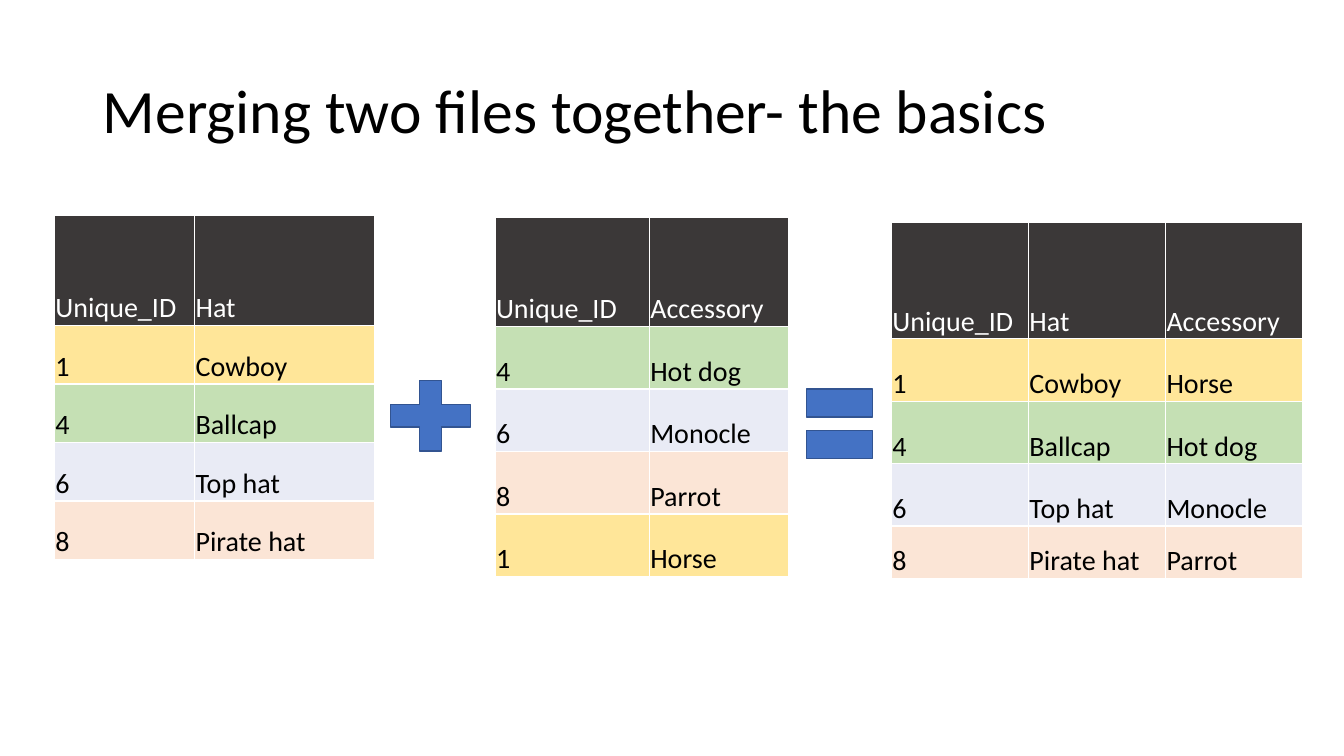
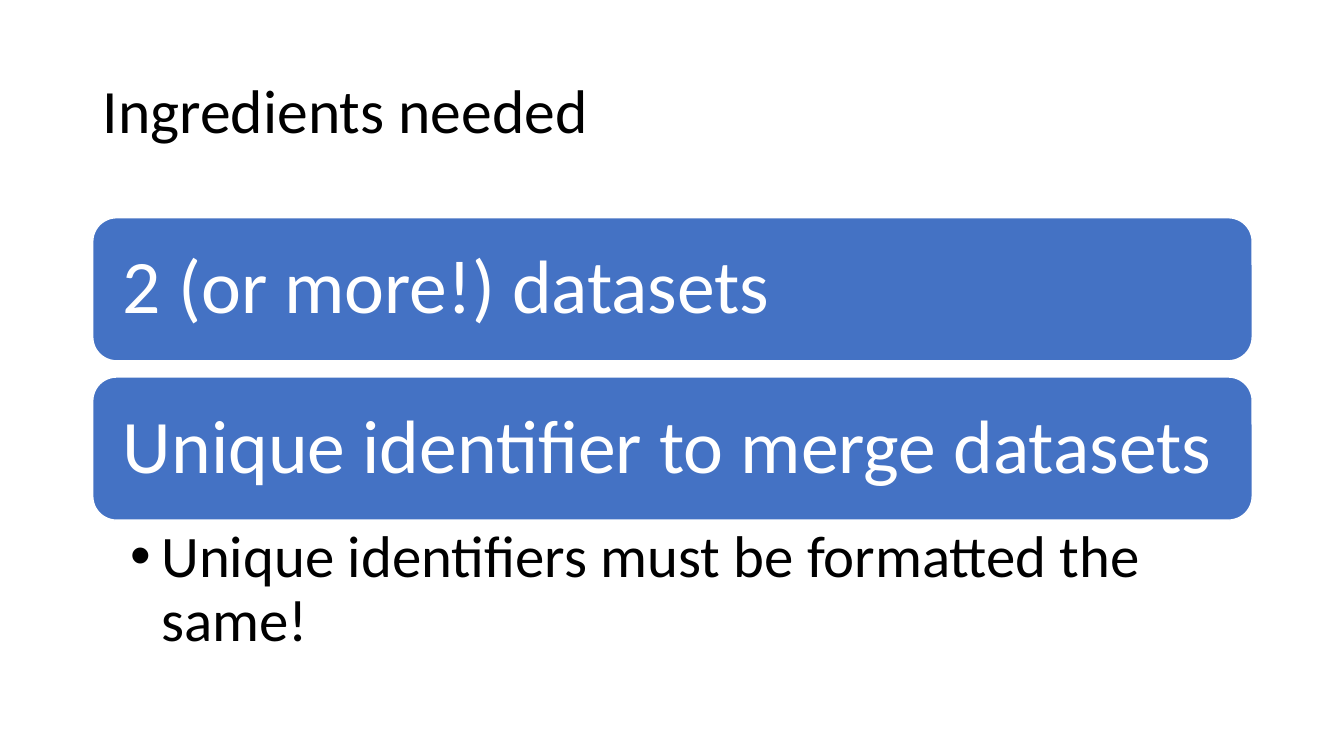
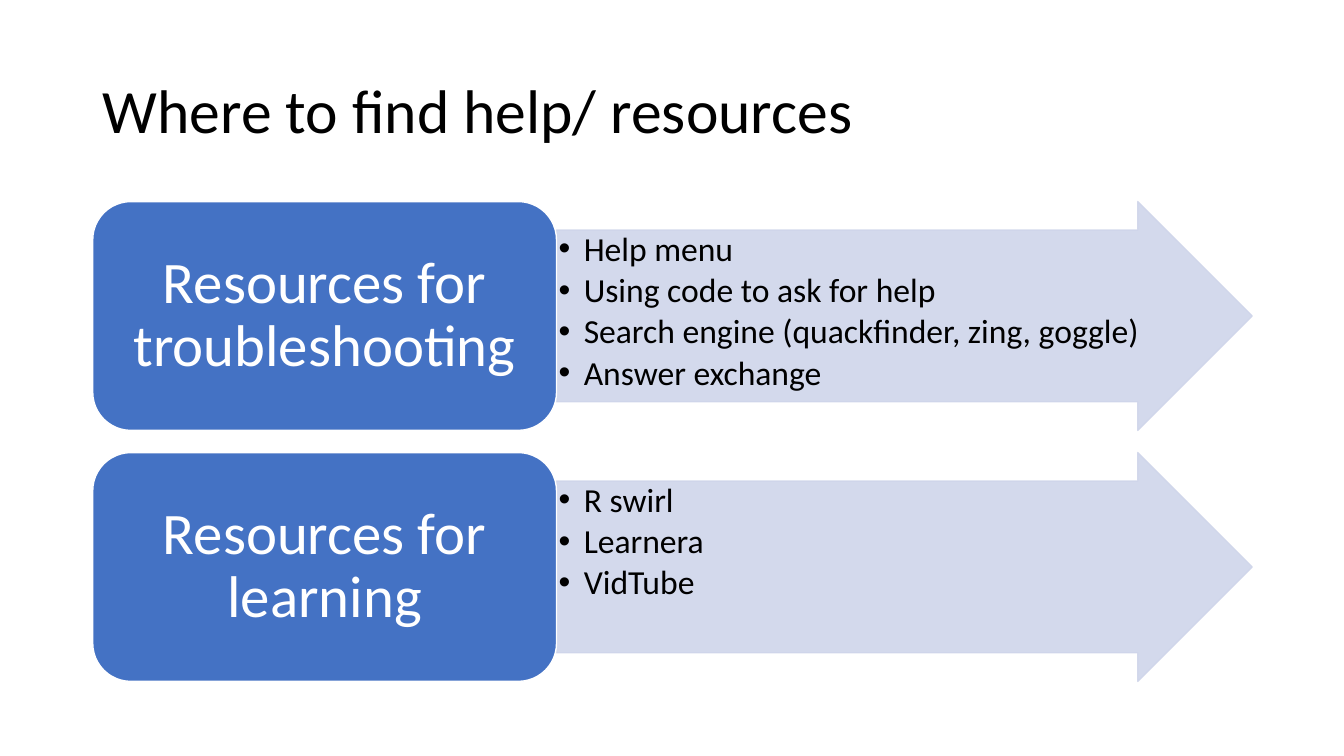
from dataclasses import dataclass

from lxml.etree import SubElement
from pptx import Presentation
from pptx.dml.color import RGBColor
from pptx.enum.shapes import MSO_SHAPE
from pptx.enum.text import MSO_ANCHOR, MSO_AUTO_SIZE, PP_ALIGN
from pptx.oxml.ns import qn
from pptx.util import Inches, Pt


@dataclass(frozen=True)
class Theme:
    font: str = "Calibri"
    black: str = "000000"
    white: str = "FFFFFF"
    blue: str = "4472C4"
    blue_edge: str = "325491"
    pale_blue: str = "CFD5EA"
    header: str = "3B3838"
    title_size: int = 44
    banner_size: int = 54
    label_size: int = 42
    list_size: int = 24
    table_size: int = 20


theme = Theme()
ID_COLOURS = {"1": "FFE699", "4": "C5E0B4", "6": "E9EBF5", "8": "FBE5D6"}
LEFT, WIDTH = 0.92, 11.5


def write_text(frame, lines, size, colour, insets, anchor=MSO_ANCHOR.MIDDLE,
               align=PP_ALIGN.LEFT, bullet_indent=0, space_after=0):
    """Fill a text frame with one paragraph per line; insets run left, top, right, bottom."""
    frame.text = "\n".join(lines)
    frame.word_wrap = True
    frame.auto_size = MSO_AUTO_SIZE.NONE
    frame.vertical_anchor = anchor
    (frame.margin_left, frame.margin_top,
     frame.margin_right, frame.margin_bottom) = map(Inches, insets)
    for paragraph in frame.paragraphs:
        if bullet_indent:
            properties = paragraph._p.get_or_add_pPr()
            properties.set("marL", str(Inches(bullet_indent)))
            properties.set("indent", str(-Inches(bullet_indent)))
            SubElement(properties, qn("a:buFont"), typeface="Arial")
            SubElement(properties, qn("a:buChar"), char="•")
        paragraph.alignment = align
        paragraph.line_spacing = 0.9
        paragraph.space_before = Pt(0)
        paragraph.space_after = Pt(space_after)
        for run in paragraph.runs:
            run.font.name = theme.font
            run.font.size = Pt(size)
            run.font.color.rgb = RGBColor.from_string(colour)


def add_box(slide, kind, box, fill, line):
    shape = slide.shapes.add_shape(kind, *map(Inches, box))
    shape.shadow.inherit = False
    shape.fill.solid()
    shape.fill.fore_color.rgb = RGBColor.from_string(fill)
    shape.line.color.rgb = RGBColor.from_string(line)
    shape.line.width = Pt(1)
    return shape


presentation = Presentation()
presentation.slide_width = Inches(13.33)
presentation.slide_height = Inches(7.5)
TITLE_AND_CONTENT, TITLE_ONLY = 1, 5

# Slides and their titles
slides = []
for layout_index, title_text in [
    (TITLE_ONLY, "Merging two files together- the basics"),
    (TITLE_AND_CONTENT, "Ingredients needed"),
    (TITLE_ONLY, "Where to find help/ resources"),
]:
    slide = presentation.slides.add_slide(presentation.slide_layouts[layout_index])
    title = slide.shapes.title
    title.left, title.top, title.width, title.height = map(Inches, (LEFT, 0.4, WIDTH, 1.45))
    write_text(title.text_frame, [title_text], theme.title_size, theme.black,
               (0.1, 0.05, 0.1, 0.05))
    slides.append(slide)
merge_slide, ingredients_slide, resources_slide = slides

# Slide 1: two tables and the merged result
hats = {"1": "Cowboy", "4": "Ballcap", "6": "Top hat", "8": "Pirate hat"}
accessories = {"4": "Hot dog", "6": "Monocle", "8": "Parrot", "1": "Horse"}
tables = [
    (0.54, 2.14, [1.39, 1.79], [1.09] + [0.58] * 4,
     [("Unique_ID", "Hat"), *hats.items()]),
    (4.91, 2.16, [1.53, 1.38], [1.08] + [0.62] * 4,
     [("Unique_ID", "Accessory"), *accessories.items()]),
    (8.84, 2.21, [1.36] * 3, [1.15] + [0.62] * 3 + [0.52],
     [("Unique_ID", "Hat", "Accessory"),
      *((key, hat, accessories[key]) for key, hat in hats.items())]),
]
for left, top, column_widths, row_heights, rows in tables:
    table = merge_slide.shapes.add_table(
        len(rows), len(column_widths), Inches(left), Inches(top),
        Inches(sum(column_widths)), Inches(sum(row_heights))).table
    table.horz_banding = False
    for column, width in zip(table.columns, column_widths):
        column.width = Inches(width)
    for row, height, values in zip(table.rows, row_heights, rows):
        row.height = Inches(height)
        is_header = values[0] not in ID_COLOURS
        for cell, value in zip(row.cells, values):
            cell.vertical_anchor = MSO_ANCHOR.BOTTOM
            cell.margin_left = cell.margin_top = cell.margin_right = Inches(0.01)
            cell.margin_bottom = 0
            cell_properties = cell._tc.get_or_add_tcPr()
            for side in ("a:lnL", "a:lnR", "a:lnT", "a:lnB"):
                border = SubElement(cell_properties, qn(side), w=str(Pt(1)))
                border_fill = SubElement(border, qn("a:solidFill"))
                SubElement(border_fill, qn("a:srgbClr"), val=theme.white)
            cell.fill.solid()
            cell.fill.fore_color.rgb = RGBColor.from_string(
                theme.header if is_header else ID_COLOURS[values[0]])
            cell.text_frame.text = value
            font = cell.text_frame.paragraphs[0].runs[0].font
            font.name = theme.font
            font.size = Pt(theme.table_size)
            font.bold = False
            font.color.rgb = RGBColor.from_string(theme.white if is_header else theme.black)

for kind, box in [(MSO_SHAPE.MATH_PLUS, (3.73, 3.65, 1.08, 0.95)),
                  (MSO_SHAPE.MATH_EQUAL, (7.88, 3.62, 0.89, 1.17))]:
    add_box(merge_slide, kind, box, theme.blue, theme.blue_edge)

# Slide 2: banners with a note below
for index, text in enumerate(["2 (or more!) datasets", "Unique identifier to merge datasets"]):
    banner = add_box(ingredients_slide, MSO_SHAPE.ROUNDED_RECTANGLE,
                     (LEFT, 2.16 + index * 1.58, WIDTH, 1.42), theme.blue, theme.white)
    write_text(banner.text_frame, [text], theme.banner_size, theme.white,
               (0.23, 0.23, 0.2, 0.23))

note = ingredients_slide.placeholders[1]
note.left, note.top, note.width, note.height = map(Inches, (LEFT, 5.16, WIDTH, 1.44))
write_text(note.text_frame, ["Unique identifiers must be formatted the same!"],
           theme.label_size, theme.black, (0.37, 0.07, 0.42, 0.07),
           anchor=MSO_ANCHOR.TOP, bullet_indent=0.31)

# Slide 3: labels with list arrows
LABEL_WIDTH, ROW_HEIGHT = 4.6, 2.27
resources = [
    ("Resources for troubleshooting",
     ["Help menu", "Using code to ask for help",
      "Search engine (quackfinder, zing, goggle)", "Answer exchange"]),
    ("Resources for learning", ["R swirl", "Learnera", "VidTube"]),
]
for index, (label_text, items) in enumerate(resources):
    top = 2 + index * 2.49
    arrow = add_box(resources_slide, MSO_SHAPE.RIGHT_ARROW,
                    (LEFT + LABEL_WIDTH, top, WIDTH - LABEL_WIDTH, ROW_HEIGHT),
                    theme.pale_blue, theme.pale_blue)
    arrow.adjustments[0] = 0.75
    arrow.adjustments[1] = 0.5
    for colour in arrow._element.spPr.iter(qn("a:srgbClr")):
        SubElement(colour, qn("a:alpha"), val="90000")
    write_text(arrow.text_frame, items, theme.list_size, theme.black, (0.02,) * 4,
               anchor=MSO_ANCHOR.TOP, bullet_indent=0.25, space_after=3.6)

    label = add_box(resources_slide, MSO_SHAPE.ROUNDED_RECTANGLE,
                    (LEFT, top, LABEL_WIDTH, ROW_HEIGHT), theme.blue, theme.white)
    write_text(label.text_frame, [label_text], theme.label_size, theme.white,
               (0.17, 0.09, 0.17, 0.09), align=PP_ALIGN.CENTER)

presentation.save("out.pptx")
